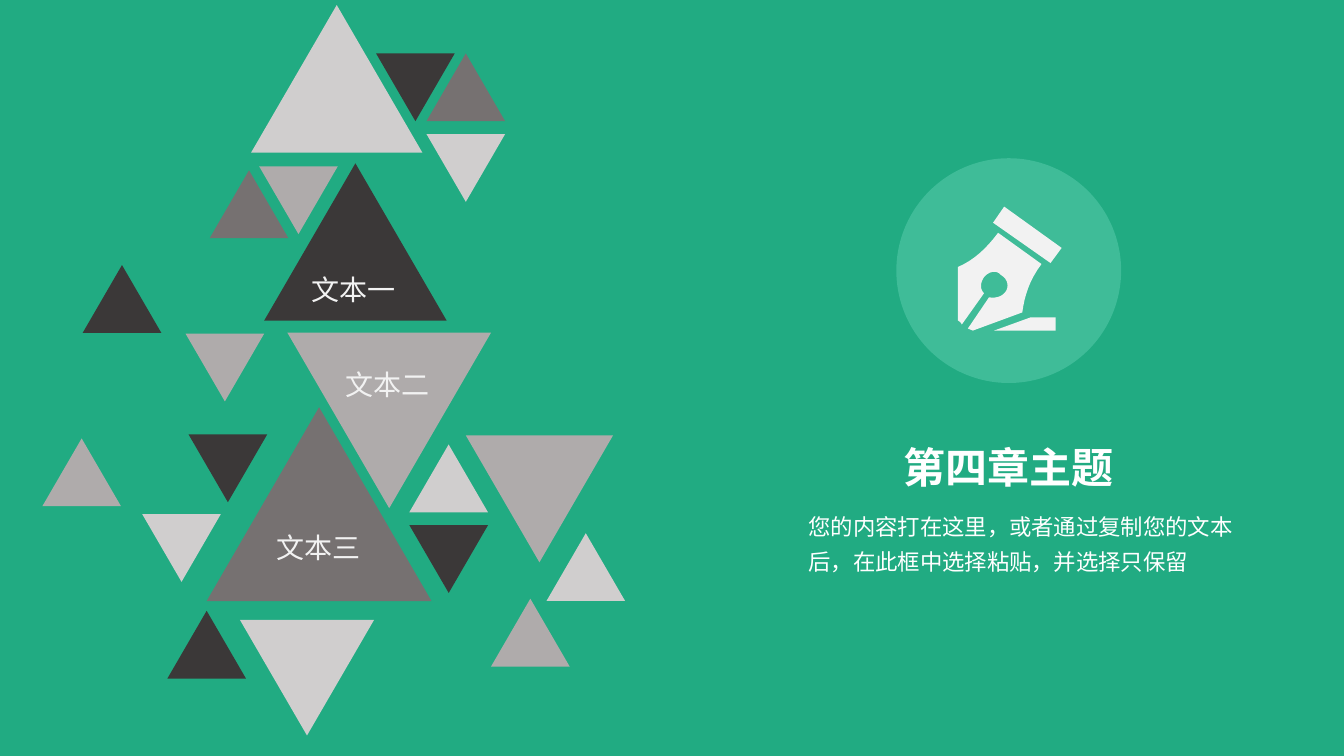
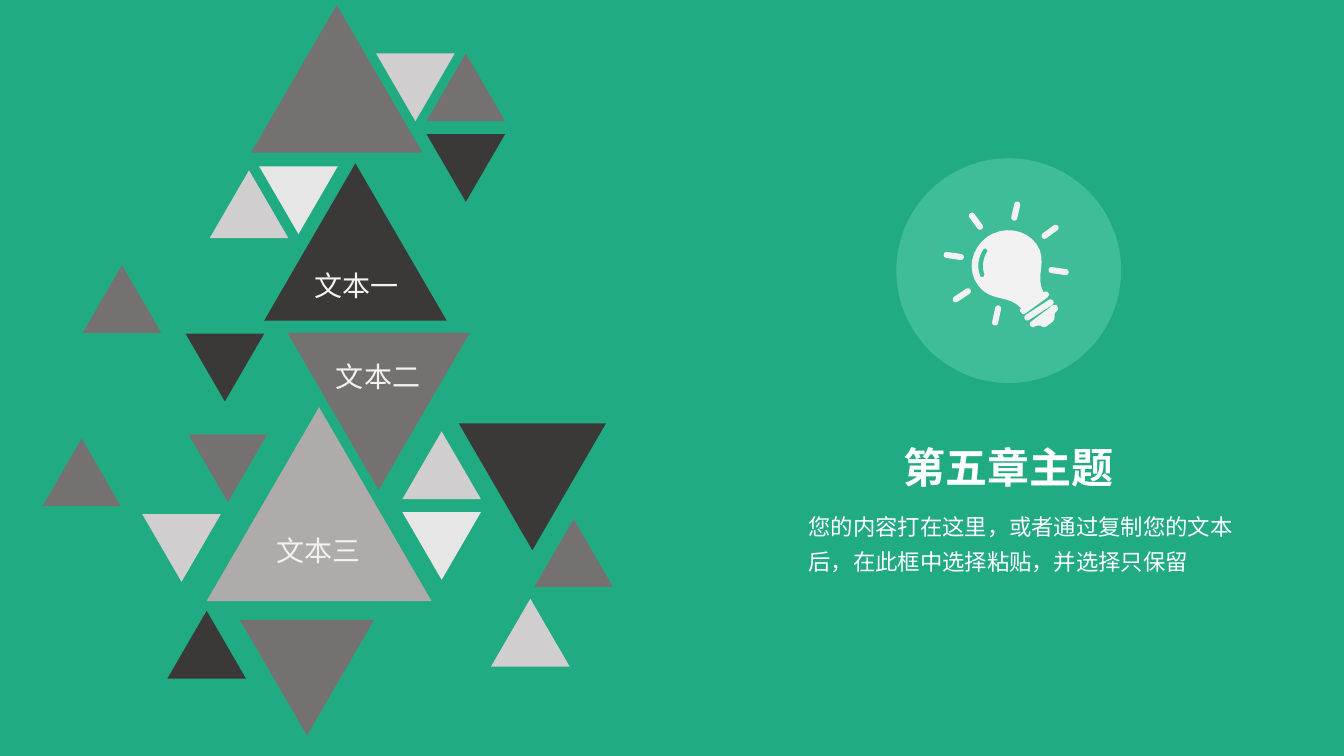
"""Build two chapter slides with a mosaic of triangles, an icon and a heading."""
from math import atan2, cos, pi, sin

from lxml.etree import SubElement
from pptx import Presentation
from pptx.dml.color import RGBColor
from pptx.enum.shapes import MSO_SHAPE
from pptx.enum.text import MSO_AUTO_SIZE, PP_ALIGN
from pptx.oxml.ns import qn
from pptx.util import Inches, Pt

GREEN = RGBColor(0x21, 0xAB, 0x82)
MINT = RGBColor(0x5D, 0xCE, 0xAF)
WHITE = RGBColor(0xFF, 0xFF, 0xFF)
PALE = RGBColor(0xF2, 0xF2, 0xF2)
GREYS = {
    "k": RGBColor(0x3B, 0x38, 0x38),
    "d": RGBColor(0x76, 0x71, 0x71),
    "m": RGBColor(0xAF, 0xAB, 0xAB),
    "l": RGBColor(0xD0, 0xCE, 0xCE),
    "w": RGBColor(0xE7, 0xE6, 0xE6),
}
FONT = "Noto Sans CJK SC"
BODY = "您的内容打在这里，或者通过复制您的文本后，在此框中选择粘贴，并选择只保留"
LABELS = ["文本一", "文本二", "文本三"]
SMALL = 0.78
RATIO = 0.862
UP, DOWN = 0, 180

FIXED = [
    (0.82, 2.63, SMALL, UP),
    (4.23, 0.53, SMALL, UP),
    (1.84, 3.31, SMALL, DOWN),
    (2.05, 4.04, 2.23, UP),
    (1.66, 6.06, SMALL, UP),
    (0.42, 4.35, SMALL, UP),
    (2.08, 1.69, SMALL, UP),
    (2.57, 1.65, SMALL, DOWN),
    (4.23, 1.33, SMALL, DOWN),
    (1.41, 5.10, SMALL, DOWN),
    (1.87, 4.31, SMALL, DOWN),
    (2.38, 6.15, 1.33, DOWN),
    (2.62, 1.62, 1.81, UP),
    (4.87, 5.94, SMALL, UP),
    (2.49, 0.05, 1.70, UP),
    (3.73, 0.53, SMALL, DOWN),
]

PEN = [
    [(9.54, 3.22), (9.53, 3.2, 9.52, 3.19, 9.5, 3.18), (9.5, 2.65),
     (9.66, 2.58, 9.78, 2.47, 9.9, 2.31), (10.33, 2.62),
     (10.21, 2.78, 10.16, 2.94, 10.14, 3.1), (9.65, 3.28), (9.6, 3.26),
     (9.81, 2.95), (9.86, 2.96, 9.93, 2.95, 9.97, 2.9),
     (10.01, 2.85, 10, 2.77, 9.93, 2.73), (9.88, 2.67, 9.8, 2.7, 9.76, 2.75),
     (9.72, 2.81, 9.72, 2.87, 9.76, 2.91)],
    [(9.86, 3.28), (10.47, 3.28), (10.47, 3.15), (10.22, 3.15)],
    [(10.42, 2.61), (10.53, 2.46), (9.96, 2.05), (9.85, 2.21)],
]

BULB = [
    [(10.4, 2.91), (10.41, 2.92, 10.4, 2.94, 10.39, 2.95), (10.17, 3.11),
     (10.15, 3.12, 10.14, 3.12, 10.13, 3.1), (10.11, 3.09, 10.11, 3.07, 10.13, 3.06),
     (10.01, 2.92, 9.82, 3, 9.7, 2.83), (9.59, 2.68, 9.63, 2.47, 9.79, 2.35),
     (9.95, 2.24, 10.17, 2.27, 10.28, 2.42), (10.4, 2.59, 10.26, 2.74, 10.35, 2.9),
     (10.37, 2.89, 10.39, 2.89, 10.4, 2.91)],
    [(9.78, 2.47), (9.77, 2.46, 9.75, 2.47, 9.75, 2.48),
     (9.7, 2.56, 9.69, 2.65, 9.72, 2.73), (9.72, 2.74, 9.73, 2.75, 9.75, 2.75),
     (9.76, 2.74, 9.77, 2.72, 9.76, 2.71), (9.74, 2.65, 9.75, 2.56, 9.79, 2.5),
     (9.8, 2.49, 9.79, 2.48, 9.78, 2.47)],
    [(10.44, 3.03), (10.23, 3.19), (10.21, 3.2, 10.21, 3.23, 10.23, 3.24),
     (10.24, 3.25, 10.25, 3.25, 10.26, 3.24), (10.28, 3.23, 10.3, 3.23, 10.32, 3.23),
     (10.34, 3.25, 10.37, 3.25, 10.39, 3.23), (10.43, 3.2),
     (10.45, 3.19, 10.46, 3.16, 10.46, 3.14), (10.46, 3.12, 10.46, 3.1, 10.48, 3.09),
     (10.49, 3.08, 10.5, 3.06, 10.49, 3.05), (10.49, 3.02, 10.46, 3.02, 10.44, 3.03)],
]
BARS = [
    (9.72, 2.25, 9.64, 2.14), (9.53, 2.55, 9.39, 2.53), (9.60, 2.89, 9.48, 2.97),
    (9.90, 3.06, 9.87, 3.20), (10.43, 2.68, 10.57, 2.70), (10.36, 2.34, 10.47, 2.26),
    (10.06, 2.16, 10.09, 2.03), (10.42, 3.00, 10.19, 3.15),
]
for ax, ay, bx, by in BARS:
    turn = atan2(by - ay, bx - ax)
    ring = []
    for i in range(18):
        cx, cy = (bx, by) if i < 9 else (ax, ay)
        ang = turn - pi / 2 + (i if i < 9 else i - 1) * pi / 8
        ring.append((cx + 0.03 * cos(ang), cy + 0.03 * sin(ang)))
    BULB.append(ring)

CHAPTERS = [
    {
        "title": "第四章主题",
        "icon": PEN,
        "tones": "kdmdkmdmllklkmlk",
        "moved": [
            (2.85, 3.30, 2.02, DOWN, "m"), (4.62, 4.32, 1.46, DOWN, "m"),
            (4.06, 4.41, SMALL, UP, "l"), (4.06, 5.21, SMALL, DOWN, "k"),
            (5.42, 5.29, SMALL, UP, "l"),
        ],
        "spots": [(2.99, 2.65), (3.32, 3.60), (2.64, 5.21)],
    },
    {
        "title": "第五章主题",
        "icon": BULB,
        "tones": "ddkmkdlwklddkldl",
        "moved": [
            (2.85, 3.30, 1.81, DOWN, "d"), (4.55, 4.20, 1.46, DOWN, "k"),
            (3.99, 4.28, SMALL, UP, "l"), (3.99, 5.08, SMALL, DOWN, "w"),
            (5.30, 5.15, SMALL, UP, "d"),
        ],
        "spots": [(3.02, 2.61), (3.23, 3.52), (2.64, 5.24)],
    },
]


def paint(shape, color):
    shape.shadow.inherit = False
    shape.fill.solid()
    shape.fill.fore_color.rgb = color
    shape.line.fill.background()


def write(slide, text, box, size, color, bold=False, wrap=False):
    frame = slide.shapes.add_textbox(*map(Inches, box)).text_frame
    frame.text = text
    frame.word_wrap = wrap
    frame.auto_size = MSO_AUTO_SIZE.SHAPE_TO_FIT_TEXT
    para = frame.paragraphs[0]
    para.alignment = PP_ALIGN.LEFT if wrap else PP_ALIGN.CENTER
    if wrap:
        para.line_spacing = 1.3
    font = para.runs[0].font
    font.size, font.bold, font.name = Pt(size), bold, FONT
    font.color.rgb = color
    SubElement(para.runs[0]._r.get_or_add_rPr(), qn("a:ea")).set("typeface", FONT)


deck = Presentation()
deck.slide_width, deck.slide_height = Inches(13.33), Inches(7.5)
back = deck.slide_master.background.fill
back.solid()
back.fore_color.rgb = GREEN

for part in CHAPTERS:
    slide = deck.slides.add_slide(deck.slide_layouts[6])
    write(slide, part["title"], (8.85, 4.33, 2.31, 0.61), 30, WHITE, bold=True)

    disc = slide.shapes.add_shape(
        MSO_SHAPE.OVAL, Inches(8.89), Inches(1.57), Inches(2.23), Inches(2.23))
    paint(disc, MINT)
    tint = disc._element.spPr.find(qn("a:solidFill"))[0]
    SubElement(tint, qn("a:alpha")).set("val", "50000")

    pen = None
    for path in part["icon"]:
        dots = [path[0]]
        for step in path[1:]:
            if len(step) == 2:
                dots.append(step)
                continue
            x0, y0 = dots[-1]
            x1, y1, x2, y2, x3, y3 = step
            for i in range(1, 9):
                t = i / 8
                u = 1 - t
                a, b, c, d = u ** 3, 3 * u * u * t, 3 * u * t * t, t ** 3
                dots.append((a * x0 + b * x1 + c * x2 + d * x3,
                             a * y0 + b * y1 + c * y2 + d * y3))
        dots = [(Inches(x), Inches(y)) for x, y in dots]
        if pen is None:
            pen = slide.shapes.build_freeform(*dots[0])
        else:
            pen.move_to(*dots[0])
        pen.add_line_segments(dots[1:], close=True)
    paint(pen.convert_to_shape(), PALE)

    tiles = [(*spot, tone) for spot, tone in zip(FIXED, part["tones"])]
    for x, y, width, turn, tone in tiles + part["moved"]:
        tile = slide.shapes.add_shape(
            MSO_SHAPE.ISOSCELES_TRIANGLE,
            Inches(x), Inches(y), Inches(width), Inches(width * RATIO))
        tile.rotation = turn
        paint(tile, GREYS[tone])

    for label, (x, y) in zip(LABELS, part["spots"]):
        write(slide, label, (x, y, 1.04, 0.44), 20, PALE)
    write(slide, BODY, (7.92, 4.96, 4.42, 0.81), 16, WHITE, wrap=True)

deck.save("out.pptx")
